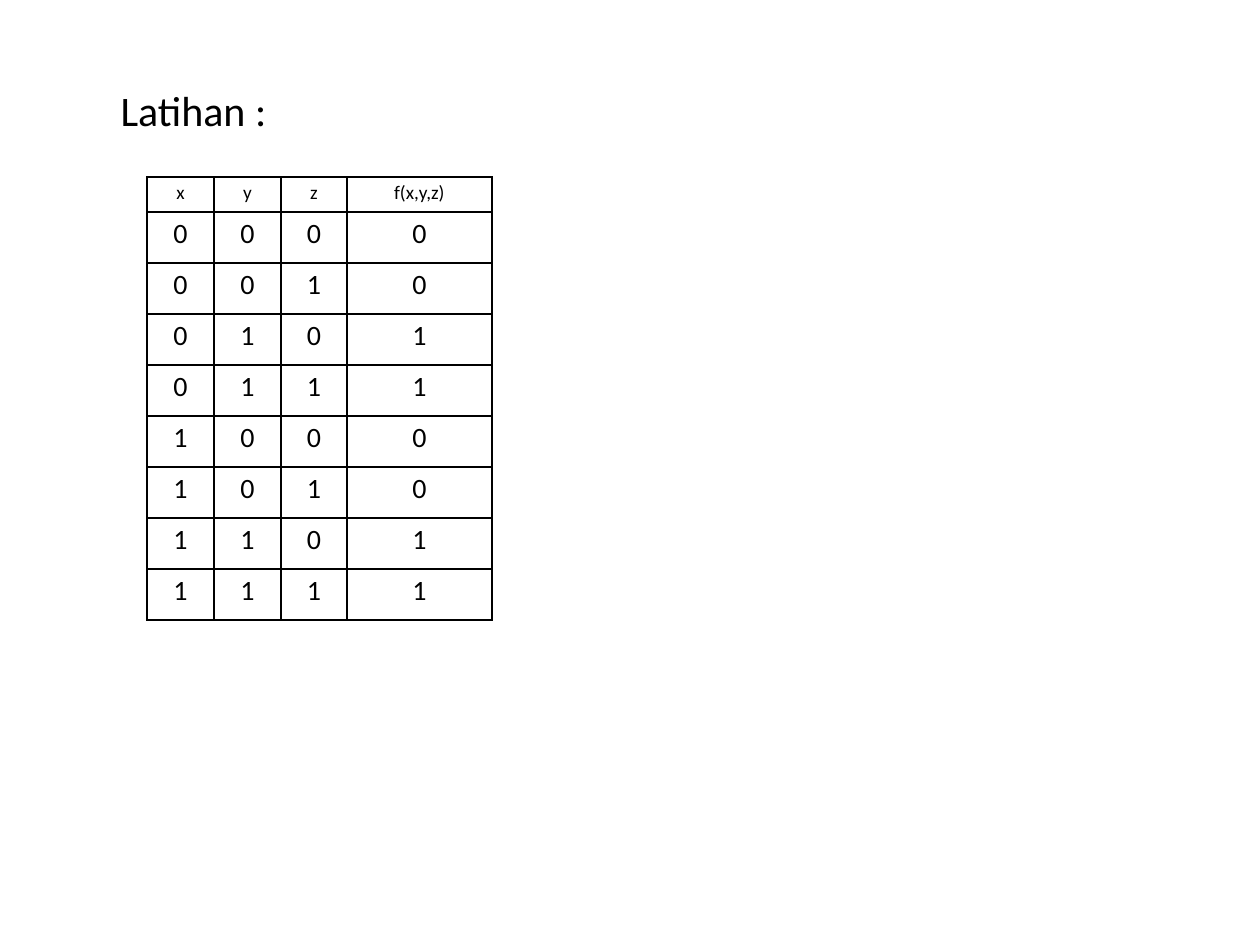
import itertools

import lxml.etree
import pptx
import pptx.dml.color
import pptx.enum.text
import pptx.oxml.ns
import pptx.util

PX = 914400 // 126
COLORS = {"ink": "000000", "paper": "FFFFFF"}
TITLE_BOX = (108, 78, 1043, 63)
TABLE_BOX = (147, 177, 345, 443)
COLUMNS = (67, 67, 66, 145)
HEADER_HEIGHT = 35
HEADERS = ("x", "y", "z", "f(x,y,z)")
TITLE_FORMAT = {
    "word_wrap": True,
    "auto_size": pptx.enum.text.MSO_AUTO_SIZE.NONE,
    "vertical_anchor": pptx.enum.text.MSO_ANCHOR.TOP,
}
CELL_FORMAT = {
    "margin_left": 9 * PX,
    "margin_right": 9 * PX,
    "margin_top": 0,
    "margin_bottom": 0,
    "vertical_anchor": pptx.enum.text.MSO_ANCHOR.TOP,
}


def apply_format(target, values):
    """Set each named attribute of the target."""
    for name, value in values.items():
        setattr(target, name, value)


def write_text(tf, text, size, **paragraph_format):
    """Write one formatted paragraph into a text frame."""
    p = tf.paragraphs[0]
    apply_format(p, paragraph_format)
    r = p.add_run()
    r.text = text
    apply_format(r.font, {"name": "Calibri", "size": pptx.util.Pt(size), "bold": False})
    r.font.color.rgb = pptx.dml.color.RGBColor.from_string(COLORS["ink"])


def add_borders(cell):
    """Draw a thin line on all four sides of a cell."""
    qn = pptx.oxml.ns.qn
    props = cell._tc.get_or_add_tcPr()
    for i, side in enumerate(("lnL", "lnR", "lnT", "lnB")):
        line = lxml.etree.Element(qn(f"a:{side}"), w=str(pptx.util.Pt(1)))
        fill = lxml.etree.SubElement(line, qn("a:solidFill"))
        lxml.etree.SubElement(fill, qn("a:srgbClr"), val=COLORS["ink"])
        props.insert(i, line)


def place_title(slide, box, text):
    """Move the title placeholder into its box and fill it."""
    sp = slide.shapes.title
    apply_format(sp, dict(zip(("left", "top", "width", "height"), (v * PX for v in box))))
    apply_format(sp.text_frame, TITLE_FORMAT)
    write_text(sp.text_frame, text, 24, alignment=pptx.enum.text.PP_ALIGN.LEFT)


def add_truth_table(slide, box):
    """Add the truth table of a function that equals y."""
    rows = [HEADERS] + [(x, y, z, y) for x, y, z in itertools.product("01", repeat=3)]
    table = slide.shapes.add_table(len(rows), len(HEADERS), *(v * PX for v in box)).table
    apply_format(table, {"first_row": False, "horz_banding": False})
    for column, width in zip(table.columns, COLUMNS):
        column.width = width * PX
    body_height = (box[3] - HEADER_HEIGHT) // (len(rows) - 1)
    for i, values in enumerate(rows):
        table.rows[i].height = (body_height if i else HEADER_HEIGHT) * PX
        for cell, text in zip(table.rows[i].cells, values):
            apply_format(cell, CELL_FORMAT)
            cell.fill.solid()
            cell.fill.fore_color.rgb = pptx.dml.color.RGBColor.from_string(COLORS["paper"])
            add_borders(cell)
            write_text(cell.text_frame, text, 16 if i else 11,
                       alignment=pptx.enum.text.PP_ALIGN.CENTER, line_spacing=1.15)


def main():
    """Build and save the exercise slide."""
    prs = pptx.Presentation()
    apply_format(prs, {"slide_width": 1260 * PX, "slide_height": 945 * PX})
    slide = prs.slides.add_slide(prs.slide_layouts[5])
    place_title(slide, TITLE_BOX, "Latihan :")
    add_truth_table(slide, TABLE_BOX)
    prs.save("out.pptx")


if __name__ == "__main__":
    main()
